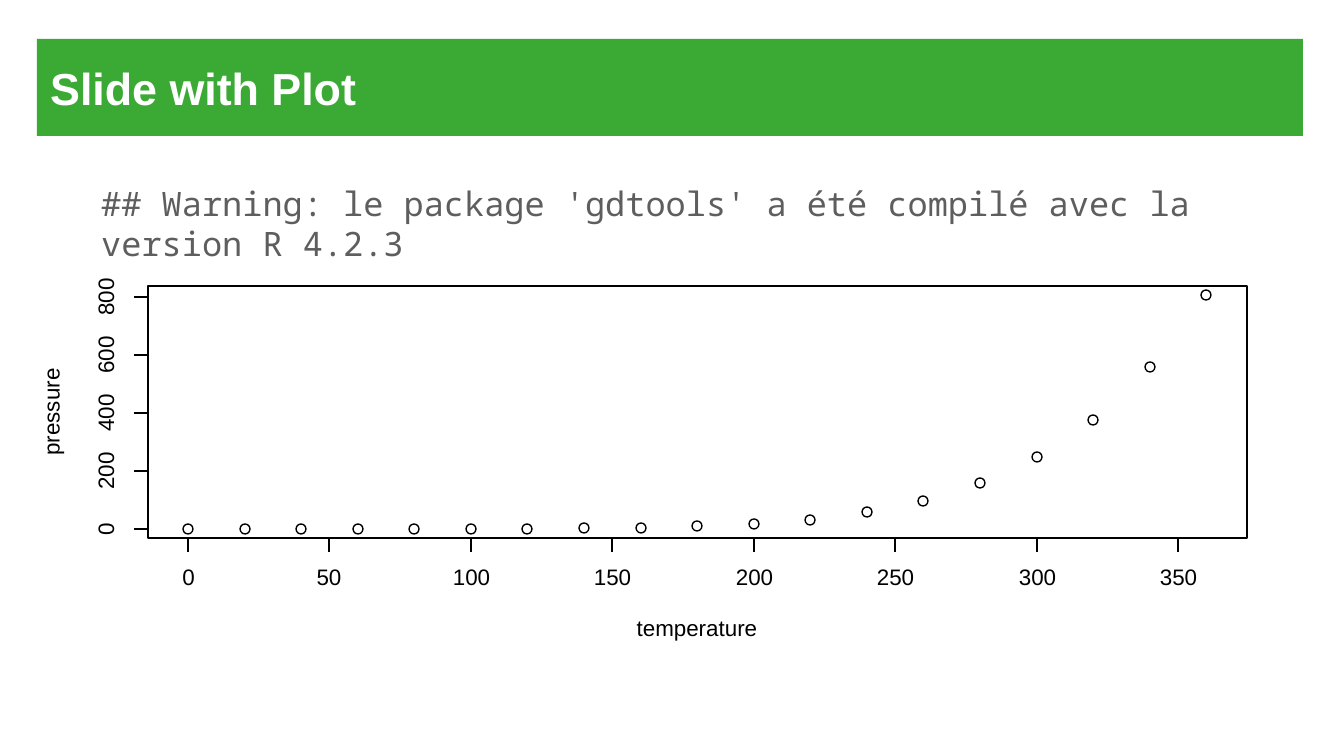
from dataclasses import dataclass

from pptx import Presentation
from pptx import util as u
from pptx.dml.color import RGBColor
from pptx.enum import shapes, text
from pptx.oxml.ns import qn
from pptx.shapes.autoshape import Shape
from pptx.shapes.group import GroupShape
from pptx.slide import Slide
from pptx.text.text import _Paragraph as Paragraph

PX_PER_INCH = 134.4
BLACK, WHITE, GREEN, GREY = "000000", "FFFFFF", "3AAA35", "5E5E5E"
LINE_WIDTH = u.Pt(0.75)
DOT_SIZE = 10
TICK_LENGTH = 14
LABEL_HEIGHT = 16

PRESSURES = [0.0002, 0.0012, 0.006, 0.03, 0.09, 0.27, 0.75, 1.85, 4.2, 8.8,
             17.3, 32.1, 57, 96, 157, 247, 376, 558, 806]
TEMPERATURE_STEP = 20


@dataclass(frozen=True)
class Box:
    left: int
    top: int
    width: int
    height: int

    @property
    def bottom(self) -> int:
        return self.top + self.height

    @property
    def center(self) -> tuple[int, int]:
        return self.left + self.width // 2, self.top + self.height // 2


@dataclass(frozen=True)
class Axis:
    """A linear scale: the px of its first and last tick, and the tick values."""
    title: str
    start: int
    end: int
    last: int
    step: int

    def position(self, value: float) -> int:
        return round(self.start + (self.end - self.start) * value / self.last)

    def ticks(self) -> range:
        return range(0, self.last + 1, self.step)


TITLE = Box(37, 39, 1266, 97)
BODY = Box(37, 176, 1266, 499)
FRAME = Box(148, 286, 1099, 252)
TEMPERATURE = Axis("temperature", 188, 1178, 350, 50)
PRESSURE = Axis("pressure", 529, 297, 800, 200)


def emu(px: float) -> int:
    return round(px * 914400 / PX_PER_INCH)


def place(box: Box) -> list[int]:
    return [emu(px) for px in (box.left, box.top, box.width, box.height)]


def centered(x: int, y: int, width: int, height: int) -> Box:
    return Box(x - width // 2, y - height // 2, width, height)


def color(value: str) -> RGBColor:
    return RGBColor.from_string(value)


def write(shape: Shape, content: str, font: str, size: int, value: str,
          bold: bool = False) -> Paragraph:
    para = shape.text_frame.paragraphs[0]
    para.text = content
    para.font.name = font
    para.font.size = u.Pt(size)
    para.font.bold = bold
    para.font.color.rgb = color(value)
    para.alignment = text.PP_ALIGN.LEFT
    return para


def add_outline(plot: GroupShape, kind: shapes.MSO_SHAPE, box: Box) -> None:
    outline = plot.shapes.add_shape(kind, *place(box))
    outline.shadow.inherit = False
    outline.fill.background()
    outline.line.color.rgb = color(BLACK)
    outline.line.width = LINE_WIDTH


def add_line(plot: GroupShape, x1: int, y1: int, x2: int, y2: int) -> None:
    line = plot.shapes.add_connector(
        shapes.MSO_CONNECTOR.STRAIGHT, emu(x1), emu(y1), emu(x2), emu(y2))
    line.line.color.rgb = color(BLACK)
    line.line.width = LINE_WIDTH
    properties = line._element.spPr
    properties.append(properties.makeelement(qn("a:effectLst"), {}))


def add_label(plot: GroupShape, content: str, box: Box, rotation: int = 0) -> None:
    label = plot.shapes.add_textbox(*place(box))
    label.rotation = rotation
    frame = label.text_frame
    frame.margin_left = frame.margin_right = 0
    frame.margin_top = frame.margin_bottom = 0
    frame.vertical_anchor = text.MSO_ANCHOR.MIDDLE
    frame.word_wrap = False
    para = write(label, content, "Arial", 12, BLACK)
    para.alignment = text.PP_ALIGN.CENTER
    para.line_spacing = u.Pt(12)


def label_width(value: int) -> int:
    return 13 * len(str(value))


def add_temperature_axis(plot: GroupShape, axis: Axis) -> None:
    base = FRAME.bottom
    add_line(plot, axis.start, base, axis.end, base)
    for value in axis.ticks():
        x = axis.position(value)
        add_line(plot, x, base, x, base + TICK_LENGTH)
        add_label(plot, str(value),
                  centered(x, 579, label_width(value), LABEL_HEIGHT))
    add_label(plot, axis.title, centered(FRAME.center[0], 630, 124, 20))


def add_pressure_axis(plot: GroupShape, axis: Axis) -> None:
    base = FRAME.left
    add_line(plot, base, axis.start, base, axis.end)
    for value in axis.ticks():
        y = axis.position(value)
        add_line(plot, base, y, base - TICK_LENGTH, y)
        add_label(plot, str(value),
                  centered(107, y, label_width(value), LABEL_HEIGHT), 270)
    add_label(plot, axis.title,
              centered(53, FRAME.center[1], 94, LABEL_HEIGHT), 270)


def add_title(page: Slide, content: str) -> None:
    title = page.shapes.add_shape(shapes.MSO_SHAPE.RECTANGLE, *place(TITLE))
    title.shadow.inherit = False
    title.fill.solid()
    title.fill.fore_color.rgb = color(GREEN)
    title.line.fill.background()
    title.text_frame.vertical_anchor = text.MSO_ANCHOR.MIDDLE
    write(title, content, "Arial", 24, WHITE, bold=True)


def add_body(page: Slide, content: str) -> None:
    body = page.shapes.add_textbox(*place(BODY))
    body.text_frame.word_wrap = True
    para = write(body, content, "Noto Sans Mono", 18, GREY)
    para.space_before = u.Pt(3.6)
    para._p.get_or_add_pPr().set("marL", str(u.Inches(0.38)))


def main() -> None:
    deck = Presentation()
    deck.slide_width, deck.slide_height = emu(1344), emu(756)
    page = deck.slides.add_slide(deck.slide_layouts[6])

    add_title(page, "Slide with Plot")
    add_body(page, "## Warning: le package 'gdtools' a été compilé avec la "
                   "version R 4.2.3")

    plot = page.shapes.add_group_shape()
    for index, pressure in enumerate(PRESSURES):
        x = TEMPERATURE.position(index * TEMPERATURE_STEP)
        y = PRESSURE.position(pressure)
        add_outline(plot, shapes.MSO_SHAPE.OVAL,
                    centered(x, y, DOT_SIZE, DOT_SIZE))
    add_temperature_axis(plot, TEMPERATURE)
    add_pressure_axis(plot, PRESSURE)
    add_outline(plot, shapes.MSO_SHAPE.RECTANGLE, FRAME)

    deck.save("out.pptx")


if __name__ == "__main__":
    main()
